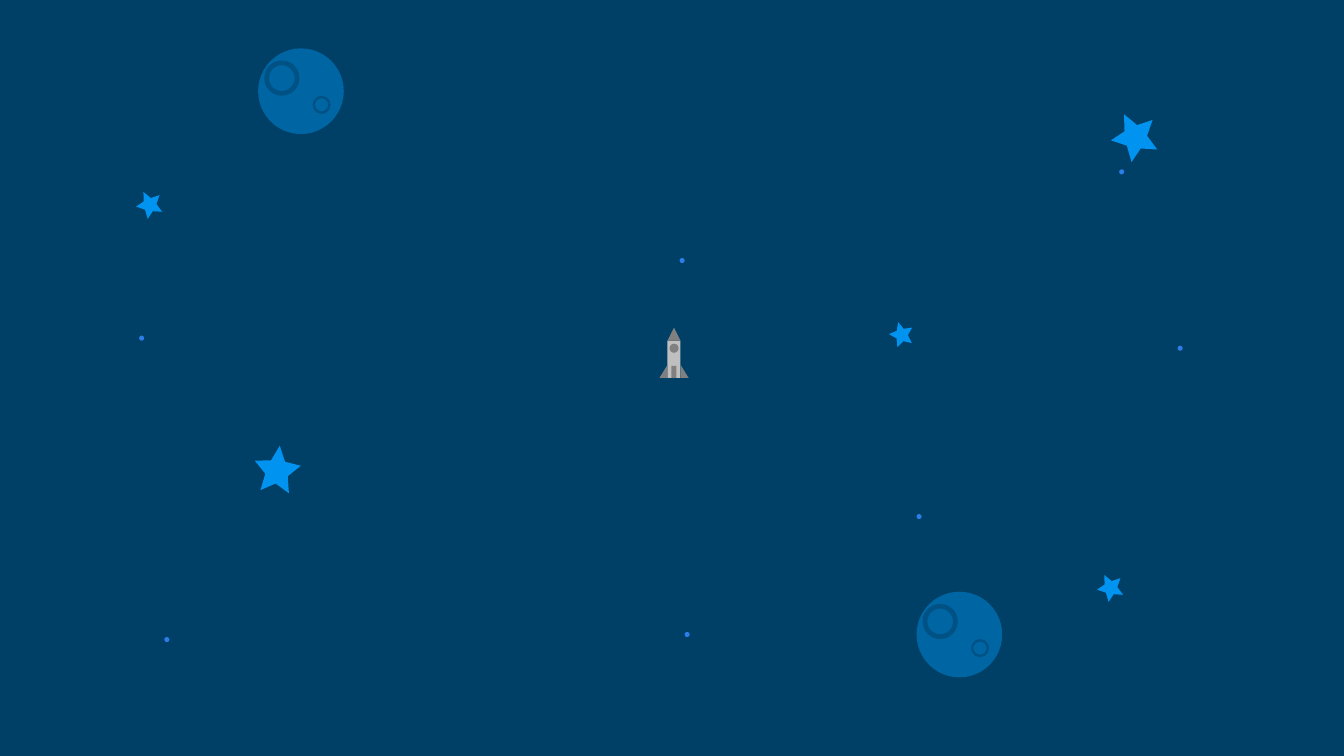
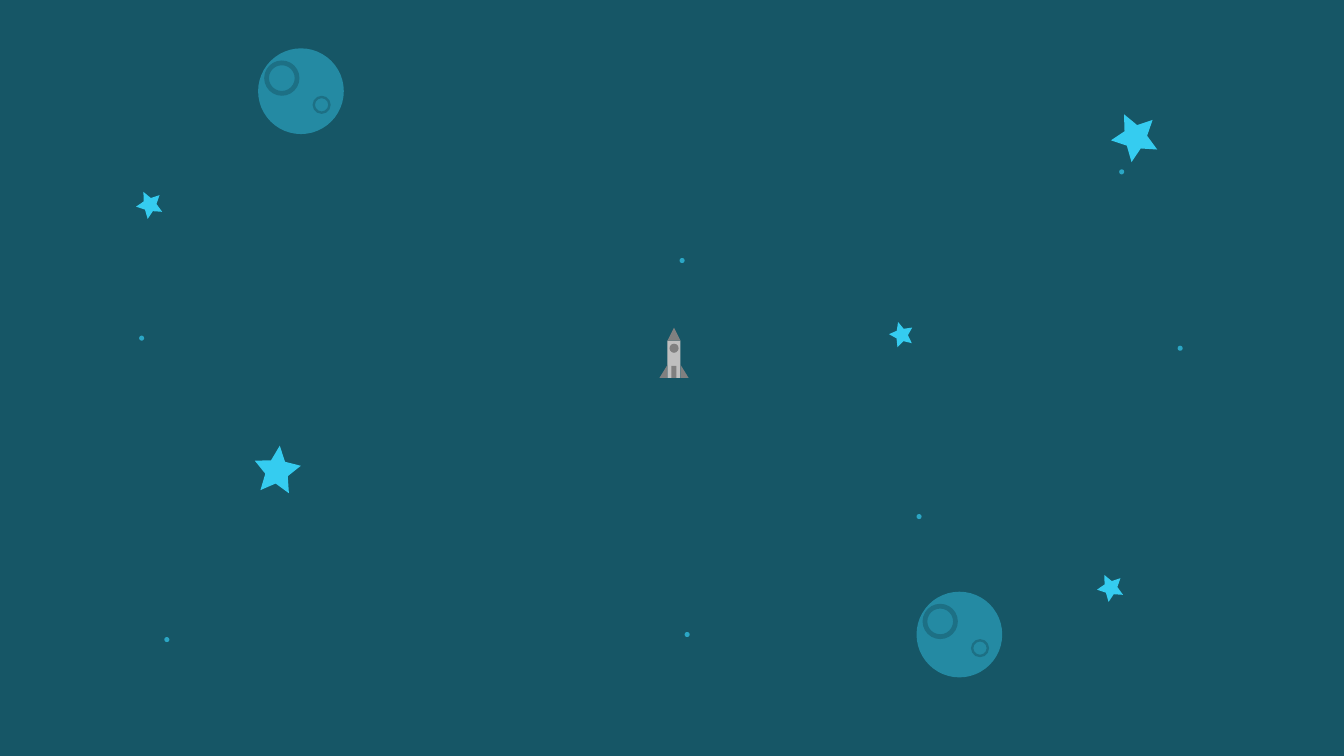
from typing import NamedTuple

from pptx import Presentation
from pptx.dml.color import RGBColor
from pptx.enum.shapes import MSO_SHAPE
from pptx.shapes.autoshape import Shape
from pptx.shapes.shapetree import GroupShapes, SlideShapes
from pptx.util import Emu

PX = 9144  # EMU in one px: 100 px to the inch
WIDE, HIGH = 1333, 750
DOT = 5
STAR_ADJ = 0.244
RING_ADJ = 0.135

SKIES = [
    {"sky": "003F66", "moon": "0065A3", "ring": "005285",
     "dot": "2C7DE7", "star": "0093EF"},
    {"sky": "165666", "moon": "248AA3", "ring": "1D7085",
     "dot": "2BA6C5", "star": "35CCF0"},
]
METAL = {"hull": "BFBFBF", "trim": "808080"}


class Box(NamedTuple):
    left: int
    top: int
    width: int
    height: int


class Star(NamedTuple):
    left: int
    top: int
    size: int
    turn: float


class Part(NamedTuple):
    kind: MSO_SHAPE
    box: Box
    hue: str = "trim"
    adj: float | None = None


class Ring(NamedTuple):
    """A crater, placed from the corner of its moon."""
    left: int
    top: int
    size: int


MOON = 85
MOONS = [(256, 48), (909, 587)]
RINGS = [Ring(6, 12, 35), Ring(54, 47, 18)]
DOTS = [(674, 256), (909, 510), (163, 632), (1110, 168),
        (138, 333), (679, 627), (1168, 343)]
STARS = [
    Star(882, 319, 24, 344.2),
    Star(252, 442, 46, 6.3),
    Star(1102, 111, 46, 333.9),
    Star(1088, 569, 26, 333.9),
    Star(135, 189, 26, 333.9),
]
ROCKET = [
    Part(MSO_SHAPE.RECTANGLE, Box(662, 338, 13, 37), "hull"),
    Part(MSO_SHAPE.ISOSCELES_TRIANGLE, Box(662, 325, 13, 13)),
    Part(MSO_SHAPE.ISOSCELES_TRIANGLE, Box(654, 362, 8, 13), adj=1),
    Part(MSO_SHAPE.OVAL, Box(664, 341, 9, 9)),
    Part(MSO_SHAPE.RECTANGLE, Box(666, 363, 5, 12)),
    Part(MSO_SHAPE.ISOSCELES_TRIANGLE, Box(675, 362, 8, 13), adj=0),
]

Tree = SlideShapes | GroupShapes


def draw(tree: Tree, kind: MSO_SHAPE, box: Box, hue: str,
         adj: float | None = None) -> Shape:
    """Add a flat shape without outline or shadow."""
    shape = tree.add_shape(kind, *(Emu(n * PX) for n in box))
    shape.shadow.inherit = False
    shape.fill.solid()
    shape.fill.fore_color.rgb = RGBColor.from_string(hue)
    shape.line.fill.background()
    if adj is not None:
        shape.adjustments[0] = adj
    return shape


def draw_moon(tree: Tree, left: int, top: int, sky: dict[str, str]) -> None:
    group = tree.add_group_shape().shapes
    draw(group, MSO_SHAPE.OVAL, Box(left, top, MOON, MOON), sky["moon"])
    for ring in RINGS:
        box = Box(left + ring.left, top + ring.top, ring.size, ring.size)
        draw(group, MSO_SHAPE.DONUT, box, sky["ring"], RING_ADJ)


def draw_rocket(tree: Tree) -> None:
    group = tree.add_group_shape().shapes
    for part in ROCKET:
        draw(group, part.kind, part.box, METAL[part.hue], part.adj)


def draw_dots(tree: Tree, hue: str) -> None:
    group = tree.add_group_shape().shapes
    for left, top in DOTS:
        draw(group, MSO_SHAPE.OVAL, Box(left, top, DOT, DOT), hue)


def draw_stars(tree: Tree, hue: str) -> None:
    group = tree.add_group_shape().shapes
    for star in STARS:
        box = Box(star.left, star.top, star.size, star.size)
        shape = draw(group, MSO_SHAPE.STAR_5_POINT, box, hue, STAR_ADJ)
        shape.rotation = star.turn


def draw_sky(tree: Tree, sky: dict[str, str]) -> None:
    draw(tree, MSO_SHAPE.RECTANGLE, Box(0, 0, WIDE, HIGH), sky["sky"])
    for left, top in MOONS:
        draw_moon(tree, left, top, sky)
    draw_dots(tree, sky["dot"])
    draw_stars(tree, sky["star"])
    draw_rocket(tree)


def main() -> None:
    deck = Presentation()
    deck.slide_width = Emu(WIDE * PX)
    deck.slide_height = Emu(HIGH * PX)
    blank = deck.slide_layouts[6]
    for sky in SKIES:
        draw_sky(deck.slides.add_slide(blank).shapes, sky)
    deck.save("out.pptx")


if __name__ == "__main__":
    main()
